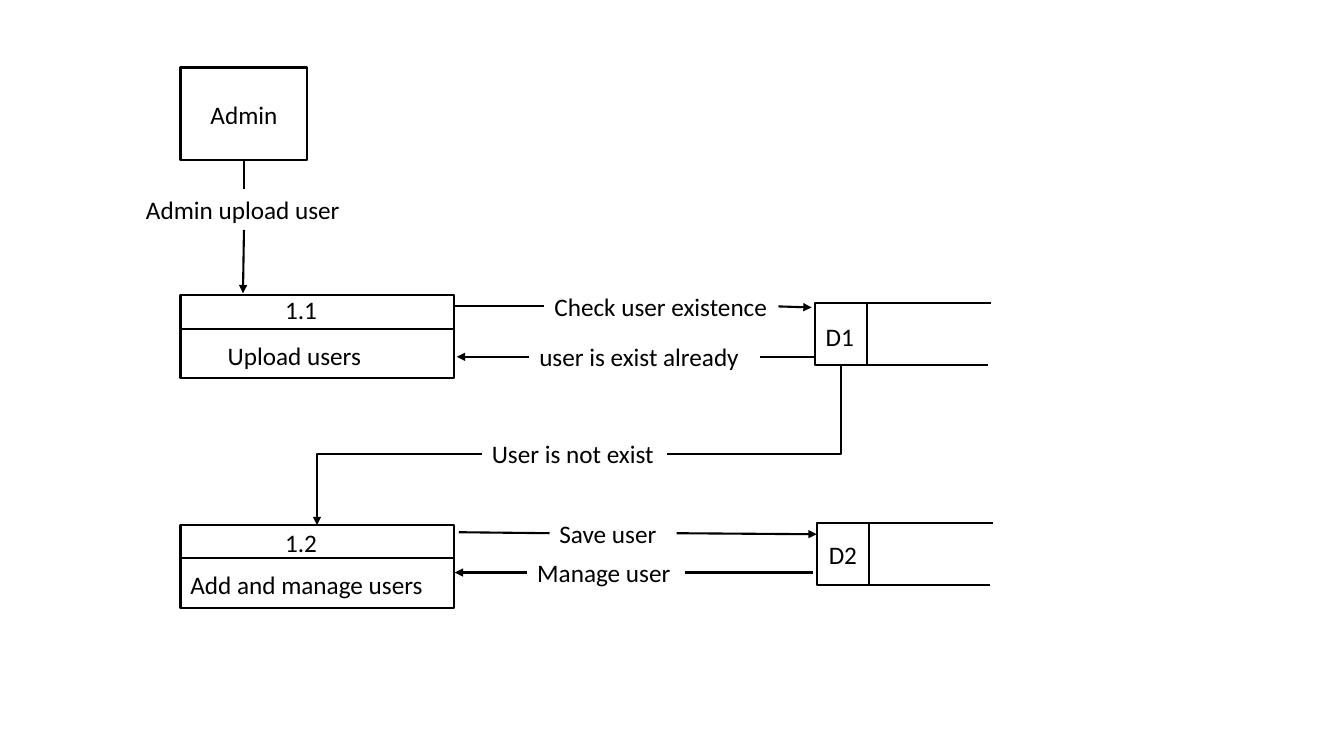
"""Builds the data flow diagram for uploading and managing users."""
from dataclasses import dataclass

from pptx import Presentation
from pptx.dml.color import RGBColor
from pptx.enum.shapes import MSO_CONNECTOR, MSO_SHAPE
from pptx.enum.text import MSO_ANCHOR, MSO_AUTO_SIZE, PP_ALIGN
from pptx.oxml.ns import qn
from pptx.oxml.xmlchemy import OxmlElement
from pptx.util import Inches, Pt

RECTANGLE = MSO_SHAPE.RECTANGLE
STRAIGHT, ELBOW = MSO_CONNECTOR.STRAIGHT, MSO_CONNECTOR.ELBOW
LEFT_ALIGN, CENTER = PP_ALIGN.LEFT, PP_ALIGN.CENTER
MIDDLE = MSO_ANCHOR.MIDDLE
GROW = MSO_AUTO_SIZE.SHAPE_TO_FIT_TEXT
TOP, LEFT, BOTTOM, RIGHT = range(4)
LABEL_HEIGHT = 0.4


@dataclass(frozen=True)
class Theme:
    ink: RGBColor = RGBColor(0, 0, 0)
    paper: RGBColor = RGBColor(255, 255, 255)
    font: str = "Calibri"
    text_size: Pt = Pt(18)
    stroke: Pt = Pt(1.5)


class Diagram:
    def __init__(self, slide, theme):
        self.slide = slide
        self.theme = theme

    def set_text(self, frame, text, align):
        frame.word_wrap = True
        paragraph = frame.paragraphs[0]
        paragraph.text = text
        paragraph.alignment = align
        paragraph.font.name = self.theme.font
        paragraph.font.size = self.theme.text_size
        paragraph.font.color.rgb = self.theme.ink

    def outline(self, line):
        line.color.rgb = self.theme.ink
        line.width = self.theme.stroke

    def box(self, left, top, width, height):
        box = self.slide.shapes.add_shape(
            RECTANGLE, Inches(left), Inches(top), Inches(width), Inches(height))
        box.shadow.inherit = False
        box.fill.solid()
        box.fill.fore_color.rgb = self.theme.paper
        self.outline(box.line)
        return box

    def label(self, text, left, top, width, align=LEFT_ALIGN):
        label = self.slide.shapes.add_textbox(
            Inches(left), Inches(top), Inches(width), Inches(LABEL_HEIGHT))
        self.set_text(label.text_frame, text, align)
        label.text_frame.auto_size = GROW
        return label

    def line(self, start, end, arrow=False, kind=STRAIGHT):
        """Join two ends, each an (x, y) point or a (shape, side) pair."""
        line = self.slide.shapes.add_connector(kind, 0, 0, 0, 0)
        if hasattr(start[0], "shape_id"):
            line.begin_connect(*start)
        else:
            line.begin_x, line.begin_y = map(Inches, start)
        if hasattr(end[0], "shape_id"):
            line.end_connect(*end)
        else:
            line.end_x, line.end_y = map(Inches, end)
        self.outline(line.line)
        properties = line._element.spPr
        if kind == ELBOW:
            properties.find(qn("a:prstGeom")).set("prst", "bentConnector2")
        if arrow:
            head = OxmlElement("a:tailEnd")
            head.set("type", "triangle")
            properties.find(qn("a:ln")).append(head)
        properties.append(OxmlElement("a:effectLst"))

    def flow(self, label, source_side, source, target, kind=STRAIGHT):
        """Draw a flow through its label, from source to target."""
        target_side = (source_side + 2) % 4
        self.line((label, source_side), source, kind=kind)
        self.line((label, target_side), target, arrow=True, kind=kind)

    def entity(self, text, *place):
        entity = self.box(*place)
        self.set_text(entity.text_frame, text, CENTER)
        entity.text_frame.vertical_anchor = MIDDLE
        return entity

    def process(self, top, number, number_top, name, name_left, name_top, name_width):
        left, width = 1.79, 2.71
        process = self.box(left, top, width, 0.82)
        self.line((left, top + 0.33), (left + width, top + 0.33))
        self.label(number, 2.16, number_top, 1.65, CENTER)
        self.label(name, name_left, name_top, name_width)
        return process

    def store(self, left, top, name, name_left, name_top):
        width, height, rail = 0.52, 0.61, 1.23
        store = self.box(left, top, width, height)
        self.label(name, name_left, name_top, 0.84, CENTER)
        for rail_left, rail_top in ((left + width, top),
                                    (left + width - 0.03, top + height)):
            self.line((rail_left, rail_top), (rail_left + rail, rail_top))
        return store


def main():
    presentation = Presentation()
    presentation.slide_width = Inches(13.33)
    presentation.slide_height = Inches(7.5)
    slide = presentation.slides.add_slide(presentation.slide_layouts[6])
    diagram = Diagram(slide, Theme())

    admin = diagram.entity("Admin", 1.79, 0.67, 1.26, 0.92)
    users_store = diagram.store(8.08, 3.01, "D1", 7.91, 3.14)
    diagram.store(8.1, 5.19, "D2", 7.94, 5.3)
    diagram.process(2.93, "1.1", 2.87, "Upload users", 2.16, 3.33, 2.17)
    manage = diagram.process(
        5.21, "1.2", 5.18, "Add and manage users", 1.79, 5.6, 2.54)

    upload = diagram.label("Admin upload user", 1.35, 1.88, 2.14)
    diagram.flow(upload, TOP, (admin, BOTTOM), (2.41, 2.91))
    check = diagram.label("Check user existence", 5.4, 2.84, 2.32)
    diagram.flow(check, LEFT, (4.49, 3.04), (8.05, 3.05))
    exists = diagram.label("user is exist already", 5.25, 3.34, 2.29)
    diagram.flow(exists, RIGHT, (8.07, 3.54), (4.53, 3.54))
    missing = diagram.label("User is not exist", 4.78, 4.3, 1.84)
    diagram.flow(missing, RIGHT, (users_store, BOTTOM), (manage, TOP), ELBOW)
    save = diagram.label("Save user", 5.45, 5.09, 1.26)
    diagram.flow(save, LEFT, (4.55, 5.28), (8.1, 5.3))
    update = diagram.label("Manage user", 5.23, 5.48, 1.56)
    diagram.flow(update, RIGHT, (8.06, 5.68), (4.51, 5.68))

    presentation.save("out.pptx")


if __name__ == "__main__":
    main()
